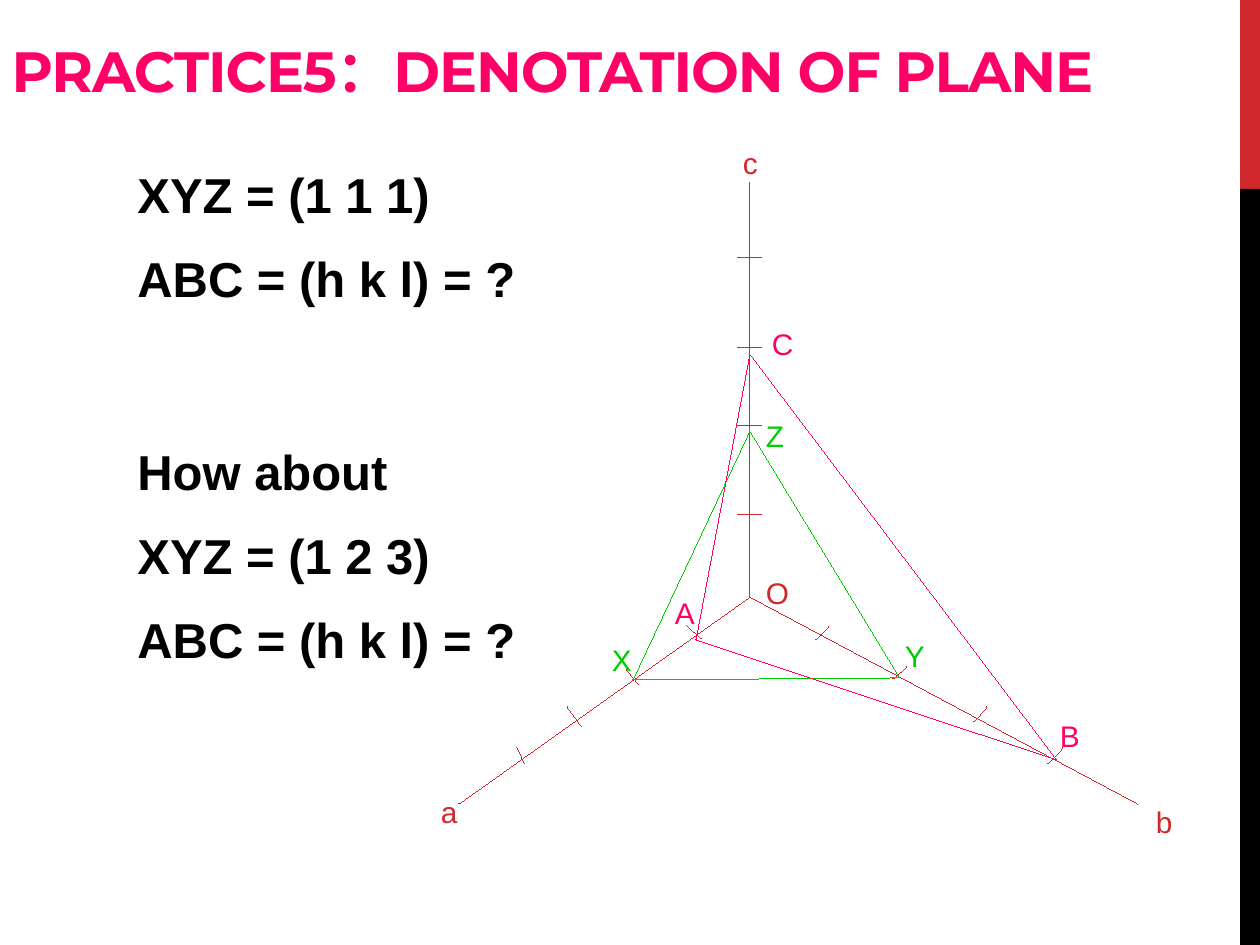
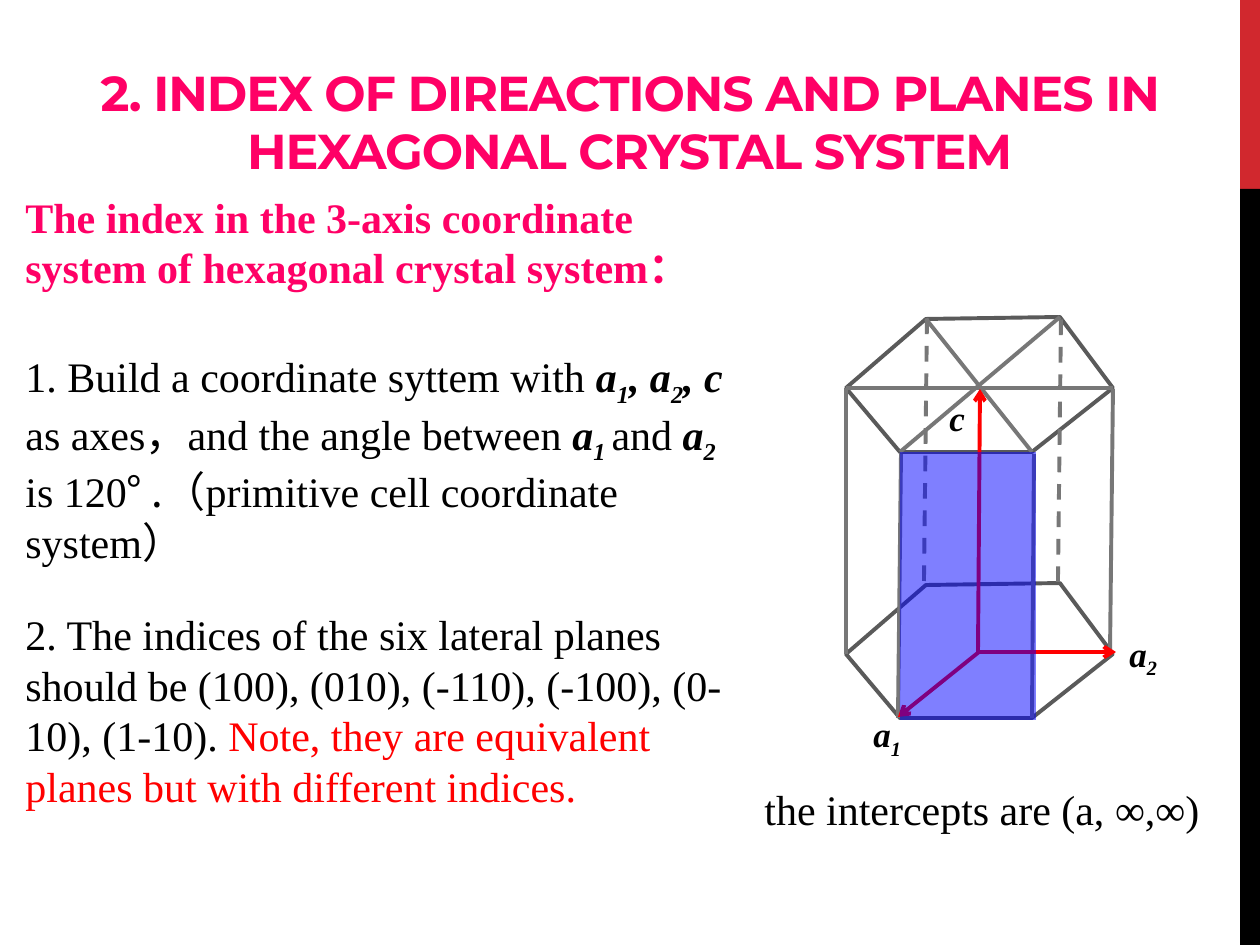
"""Build two slides on crystal plane indices."""
import lxml.etree
import pptx
import pptx.dml.color
import pptx.enum.dml
import pptx.enum.shapes
import pptx.enum.text
import pptx.oxml.ns
import pptx.util

PX = 914400 / 126
RED, BLACK, PINK, GREEN = "D1282E", "000000", "FF0066", "00CC00"
BRIGHT_RED, BLUE, EDGE, INNER = "FF0000", "0000FF", "5A5A5A", "777777"
SANS, SERIF, HEAD, CJK = "Arial", "Times New Roman", "Montserrat", "Noto Sans CJK SC"


def px(*values):
    return [round(v * PX) for v in values]


def rgb(code):
    return pptx.dml.color.RGBColor.from_string(code)


def add_xml(parent, tag, **attrs):
    return lxml.etree.SubElement(parent, pptx.oxml.ns.qn(tag), **attrs)


def set_font(font, name=None, size=None, color=None, bold=None, italic=None):
    if name:
        font.name = name
    if size:
        font.size = pptx.util.Pt(size)
    if color:
        font.color.rgb = rgb(color)
    font.bold, font.italic = bold, italic


def set_line(line, color, width):
    line.color.rgb = rgb(color)
    line._get_or_add_ln().set("w", str(pptx.util.Pt(width)))


class Deck:
    """Hold the presentation, its style and the current slide."""

    def __init__(self):
        self.prs = pptx.Presentation()
        self.prs.slide_width, self.prs.slide_height = px(1260, 945)

    def slide(self, title, box, size, align):
        self.s = self.prs.slides.add_slide(self.prs.slide_layouts[5])
        self.rect((1240, 0, 20, 189), RED)
        self.rect((1240, 189, 20, 756), BLACK)
        sp = self.s.shapes.title
        sp.left, sp.top, sp.width, sp.height = px(*box)
        tf = sp.text_frame
        tf.text = title
        tf.word_wrap = True
        tf.auto_size = pptx.enum.text.MSO_AUTO_SIZE.NONE
        tf.vertical_anchor = pptx.enum.text.MSO_ANCHOR.BOTTOM
        p = tf.paragraphs[0]
        p.alignment = align
        set_font(p.font, HEAD, size, PINK, True)
        p._p.get_or_add_pPr().get_or_add_defRPr().set("spc", "-60")

    def rect(self, box, color, alpha=None):
        sp = self.s.shapes.add_shape(pptx.enum.shapes.MSO_SHAPE.RECTANGLE, *px(*box))
        sp.shadow.inherit = False
        sp.fill.solid()
        sp.fill.fore_color.rgb = rgb(color)
        sp.line.fill.background()
        if alpha:
            clr = sp._element.spPr.find(".//" + pptx.oxml.ns.qn("a:srgbClr"))
            add_xml(clr, "a:alpha", val=str(alpha * 1000))

    def line(self, start, end, color, width=0, dash=False, arrow=False):
        c = self.s.shapes.add_connector(
            pptx.enum.shapes.MSO_CONNECTOR.STRAIGHT, *px(*start, *end))
        set_line(c.line, color, width)
        if dash:
            c.line.dash_style = pptx.enum.dml.MSO_LINE.DASH
        if arrow:
            add_xml(c.line._get_or_add_ln(), "a:tailEnd", type="arrow")
        add_xml(c._element.spPr, "a:effectLst")

    def outline(self, points, color, width=0, close=True):
        fb = self.s.shapes.build_freeform(*points[0], scale=PX)
        fb.add_line_segments(points[1:], close=close)
        sp = fb.convert_to_shape()
        sp.shadow.inherit = False
        sp.fill.background()
        set_line(sp.line, color, width)

    def text(self, box, paragraphs, font, before=0, inset=True, tab=None):
        tf = self.s.shapes.add_textbox(*px(*box)).text_frame
        tf.word_wrap = True
        if not inset:
            tf.margin_left = tf.margin_top = tf.margin_right = tf.margin_bottom = 0
        for i, content in enumerate(paragraphs):
            p = tf.add_paragraph() if i else tf.paragraphs[0]
            if i and before:
                p.space_before = pptx.util.Pt(before)
            if tab:
                stops = add_xml(p._p.get_or_add_pPr(), "a:tabLst")
                add_xml(stops, "a:tab", pos=str(px(tab)[0]), algn="l")
            self.runs(p, content, font)
        return tf

    def runs(self, p, content, font):
        set_font(p.font, **font)
        for part in [content] if isinstance(content, str) else content:
            text, style = (part, {}) if isinstance(part, str) else part
            r = p.add_run()
            r.text = text
            style = dict(style)
            baseline = style.pop("baseline", None)
            if style:
                set_font(r.font, **style)
            if baseline:
                r._r.get_or_add_rPr().set("baseline", baseline)


VECTOR = dict(bold=True, italic=True)
SUB = dict(VECTOR, baseline="-25000")


def plane_slide(d):
    d.slide("PRACTICE5：DENOTATION OF PLANE", (-1, 0, 1191, 110), 32.4,
            pptx.enum.text.PP_ALIGN.LEFT)
    bold = dict(name=SANS, size=28, color=BLACK, bold=True)
    d.text((-1, 158, 596, 161), ["\tXYZ = (1 1 1)", "\tABC = (h k l) = ?"],
           bold, 14.5, tab=126)
    d.text((-1, 435, 596, 251),
           ["\tHow about", "\tXYZ = (1 2 3)", "\tABC = (h k l) = ?"],
           bold, 14.5, tab=126)

    c_ticks = [((738, y), (762, y)) for y in (258, 348, 426, 515)]
    b_ticks = [((829, 627), (816, 640)), ((907, 667), (893, 679)),
               ((987, 707), (974, 722)), ((1063, 748), (1048, 764))]
    a_ticks = [((687, 626), (702, 639)), ((627, 670), (639, 685)),
               ((567, 707), (582, 727)), ((517, 748), (525, 764))]
    for start, end in c_ticks + b_ticks + a_ticks:
        d.line(start, end, RED)
    origin = (750, 597)
    d.outline([(750, 183), origin, (1138, 804)], RED, close=False)
    d.line(origin, (459, 804), RED)
    d.outline([(750, 431), (900, 678), (633, 680)], GREEN)
    d.outline([(750, 354), (1057, 760), (696, 640)], PINK)

    labels = [("c", 743, 145, RED), ("b", 1156, 804, RED), ("a", 441, 794, RED),
              ("O", 766, 575, RED), ("Y", 905, 638, GREEN), ("X", 612, 642, GREEN),
              ("Z", 766, 418, GREEN), ("A", 675, 595, PINK), ("B", 1060, 718, PINK),
              ("C", 772, 326, PINK)]
    for name, x, y, color in labels:
        d.text((x, y, 26, 35), [name], dict(name=SANS, size=17, color=color), inset=False)


def hexagonal_slide(d):
    d.slide("2. INDEX OF DIREACTIONS AND PLANES IN HEXAGONAL CRYSTAL SYSTEM",
            (24, 75, 1211, 111), 28, pptx.enum.text.PP_ALIGN.CENTER)
    serif = dict(name=SERIF, size=24, color=BLACK)
    heading = [("The index in the 3-axis coordinate system of hexagonal crystal system：",
                dict(color=PINK, bold=True))]
    axes = ["1. Build a coordinate syttem with ", ("a", VECTOR), ("1", SUB),
            (", a", VECTOR), ("2", SUB), (", c ", VECTOR),
            "as axes，and the angle between ", ("a", VECTOR), ("1 ", SUB), "and ",
            ("a", VECTOR), ("2", SUB), " is 120", ("° .", dict(name=CJK)),
            "（primitive cell coordinate system）"]
    planes = ["2. The indices of the six lateral planes should be (100), (010), (-110), "
              "(-100), (0-10), (1-10). ",
              ("Note, they are equivalent planes but with different indices.",
               dict(color=BRIGHT_RED))]
    tf = d.text((13, 185, 740, 624), [heading, axes, planes], serif)
    for p, before in zip(tf.paragraphs[1:], (33.7, 24.2)):
        p.space_before = pptx.util.Pt(before)

    base = [(926, 585), (1060, 583), (1113, 654), (1032, 718), (900, 718), (846, 654)]
    top = [(x, y - 266) for x, y in base]
    for ring in (base, top):
        d.outline(ring, EDGE, 2.25)
    verticals = [((846, 654), (846, 388)), ((898, 718), (901, 454)),
                 ((1032, 718), (1034, 454)), ((1110, 654), (1113, 389))]
    diagonals = list(zip(top[:3], top[3:]))
    for start, end in verticals + diagonals:
        d.line(start, end, INNER, 2.25)
    for start, end in [((924, 581), (927, 315)), ((1058, 582), (1061, 318))]:
        d.line(start, end, INNER, 2.25, dash=True)
    for start, end in [((979, 652), (898, 717)), ((979, 652), (1116, 652)),
                       ((978, 654), (980, 389))]:
        d.line(start, end, BRIGHT_RED, 2.25, arrow=True)

    vector = dict(VECTOR, name=SERIF, size=20, color=BLACK)
    for x, y, content in [(861, 706, ["a", ("1", SUB)]), (1117, 626, ["a", ("2", SUB)]),
                          (937, 390, "c")]:
        d.text((x, y, 62, 55), [content], vector)
    d.rect((900, 452, 136, 268), BLUE, alpha=50)
    d.text((752, 777, 488, 63), ["the intercepts are (a, ∞,∞)"], serif)


def main():
    d = Deck()
    plane_slide(d)
    hexagonal_slide(d)
    d.prs.save("out.pptx")


if __name__ == "__main__":
    main()
